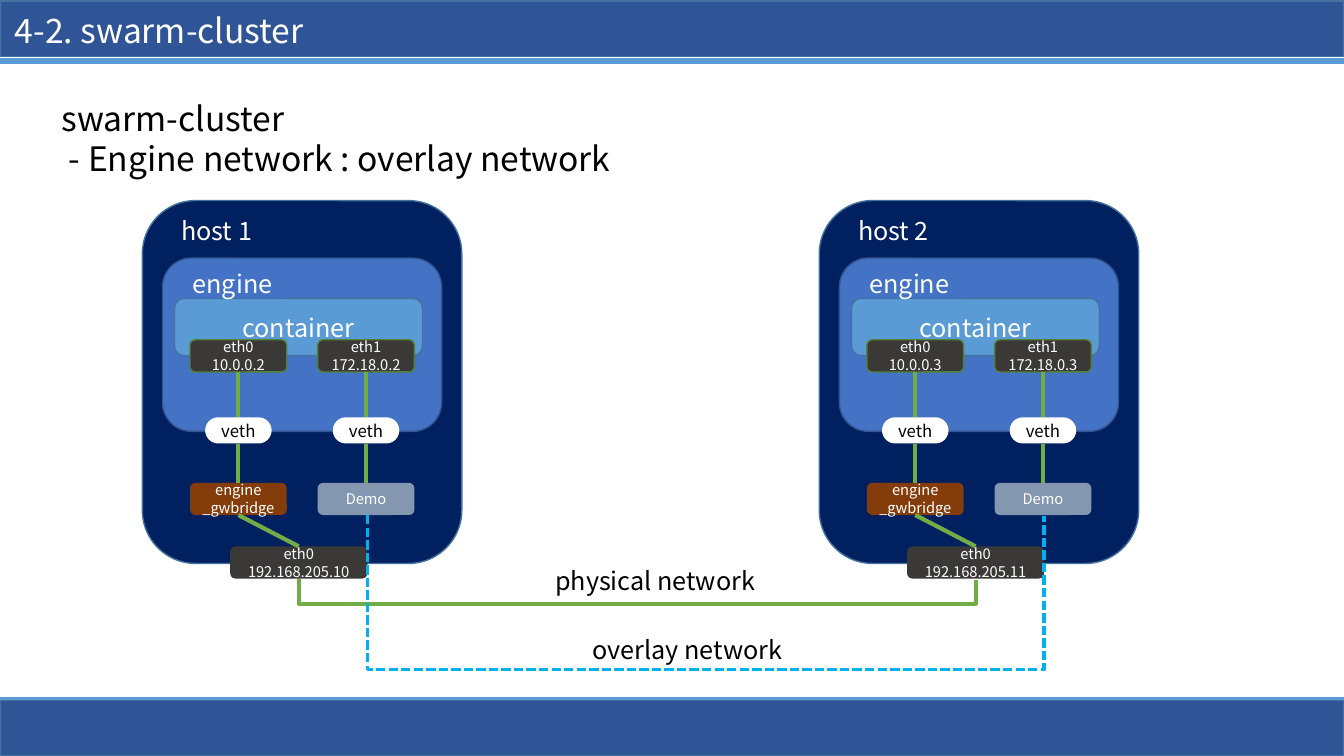
from pptx import Presentation
from pptx.dml.color import RGBColor
from pptx.enum.dml import MSO_LINE_DASH_STYLE as Dash
from pptx.enum.shapes import MSO_CONNECTOR as Link, MSO_SHAPE as Kind
from pptx.enum.text import MSO_ANCHOR as Anchor, PP_ALIGN as Align
from pptx.oxml.ns import qn
from pptx.util import Pt
from lxml.etree import SubElement

FONT = "Noto Sans CJK KR"
WHITE, BLACK, DARK = "FFFFFF", "000000", "3B3838"
GREEN, CYAN, EDGE, BLUE = "70AD47", "00B0F0", "43739E", "5B9BD5"
WIDE, HIGH = 960, 540
HOST_W, HOST_H = 228.2, 259.2
COLS = (68.6, 159.8)  # centres of the two lanes inside a host
PORT_X = 111.7        # centre of the outer port of a host
ROW_H = 23


def hue(code):
    return RGBColor.from_string(code)


def write(frame, lines, size, color, align=None):
    for i, line in enumerate(lines):
        para = frame.paragraphs[0] if i == 0 else frame.add_paragraph()
        para.alignment = align
        run = para.add_run()
        run.text = line
        run.font.name, run.font.size = FONT, Pt(size)
        run.font.color.rgb = hue(color)


def label(shapes, x, y, w, h, lines, size, color=BLACK):
    frame = shapes.add_textbox(Pt(x), Pt(y), Pt(w), Pt(h)).text_frame
    frame.word_wrap = True
    write(frame, lines, size, color)


def block(shapes, x, y, w, h, fill, edge=None, lines=(), size=10.5,
          color=WHITE, kind=Kind.ROUNDED_RECTANGLE, bend=None):
    shape = shapes.add_shape(kind, Pt(x), Pt(y), Pt(w), Pt(h))
    shape.shadow.inherit = False
    shape.fill.solid()
    shape.fill.fore_color.rgb = hue(fill)
    if edge:
        shape.line.color.rgb = hue(edge)
        shape.line.width = Pt(1)
    else:
        shape.line.fill.background()
    if bend is not None:
        shape.adjustments[0] = bend
    frame = shape.text_frame
    frame.word_wrap = True
    frame.vertical_anchor = Anchor.MIDDLE
    frame.margin_left = frame.margin_right = 0
    frame.margin_top = frame.margin_bottom = 0
    write(frame, lines, size, color, Align.CENTER)


def wire(shapes, x1, y1, x2, y2, color=GREEN, width=3, kind=Link.STRAIGHT):
    line = shapes.add_connector(kind, Pt(x1), Pt(y1), Pt(x2), Pt(y2))
    line.line.color.rgb = hue(color)
    line.line.width = Pt(width)
    SubElement(line._element.spPr, qn("a:effectLst"))
    return line


def loop(shapes, x, y, span, drop, color, width):
    """Draw a U-shaped elbow that hangs below two points at one height."""
    mid, top = x + span / 2, y + 0.5 - span / 2
    line = wire(shapes, mid + 0.5, top, mid - 0.5, top + span,
                color, width, Link.ELBOW)
    props = line._element.spPr
    props.find(qn("a:xfrm")).set("rot", str(270 * 60000))
    # The unturned box is 1 pt wide, so the drop in points is the ratio.
    guides = props.find(qn("a:prstGeom")).get_or_add_avLst()
    SubElement(guides, qn("a:gd"), name="adj1", fmla=f"val {drop * 100000}")
    return line


def bars(shapes):
    for rule, y in ((499.9, 500.4), (43.5, 0.7)):
        wire(shapes, 0, rule, WIDE, rule, BLUE, 4.5)
        block(shapes, 0, y, WIDE, 39.6, "2F5597", EDGE, kind=Kind.RECTANGLE)


def host(shapes, x, y, name, nets, port):
    group = shapes.add_group_shape().shapes

    def part(dx, dy, *args, **opts):
        block(group, x + dx, y + dy, *args, **opts)

    def join(x1, y1, x2, y2):
        wire(group, x + x1, y + y1, x + x2, y + y2)

    part(0, 0, HOST_W, HOST_H, "002060", EDGE)
    part(14.4, 41, 199.4, 123.8, "4472C4", "325491")
    part(23, 69.8, 177.1, 41, BLUE, EDGE, ["container"], 18)
    part(23, 49, 82.8, 20.9, "4472C4", None, ["engine"], 18)
    part(11.3, 2.9, 83.5, 36.7, "002060", None, [name], 18, bend=0.5)
    ends = (("843C0B", ["engine", "_gwbridge"]), ("8497B0", ["Demo"]))
    for i, (mid, net, (fill, text)) in enumerate(zip(COLS, nets, ends)):
        part(mid - 23.75, 154.8, 47.5, 18.7, WHITE, None, ["veth"], 12,
             BLACK, bend=0.5)
        part(mid - 34.55, 99.4, 69.1, ROW_H, DARK, "538035", [f"eth{i}", net])
        part(mid - 34.55, 201.6, 69.1, ROW_H, fill, None, text)
        join(mid, 122.4, mid, 154.8)
        join(mid, 173.5, mid, 201.6)
    part(PORT_X - 49, 247, 98, ROW_H, DARK, None, ["eth0", port])
    join(COLS[0], 224.6, PORT_X, 247)


def links(shapes, x, y, span):
    loop(shapes, x + PORT_X, y + 270, span, 18, GREEN, 3)
    lay = loop(shapes, x + 160.5, y + 224.6, span, 111, CYAN, 2.25)
    lay.line.dash_style = Dash.SQUARE_DOT
    label(shapes, 389.5, 400.3, 165.6, 28.8, ["physical network"], 18)
    label(shapes, 416.2, 449.3, 165.6, 28.8, ["overlay network"], 18)


def main():
    deck = Presentation()
    deck.slide_width, deck.slide_height = Pt(WIDE), Pt(HIGH)
    shapes = deck.slides.add_slide(deck.slide_layouts[6]).shapes
    bars(shapes)
    label(shapes, 3.6, 3.6, 520.6, 36, ["4-2. swarm-cluster"], 24, WHITE)
    label(shapes, 36.7, 66.2, 874, 65.5,
          ["swarm-cluster", " - Engine network : overlay network"], 24)
    left, top, span = 101.7, 143.3, 483.5
    for i in range(2):
        host(shapes, left + i * span, top, f"host {i + 1}",
             (f"10.0.0.{i + 2}", f"172.18.0.{i + 2}"), f"192.168.205.{i + 10}")
    links(shapes, left, top, span)
    deck.save("out.pptx")


if __name__ == "__main__":
    main()
